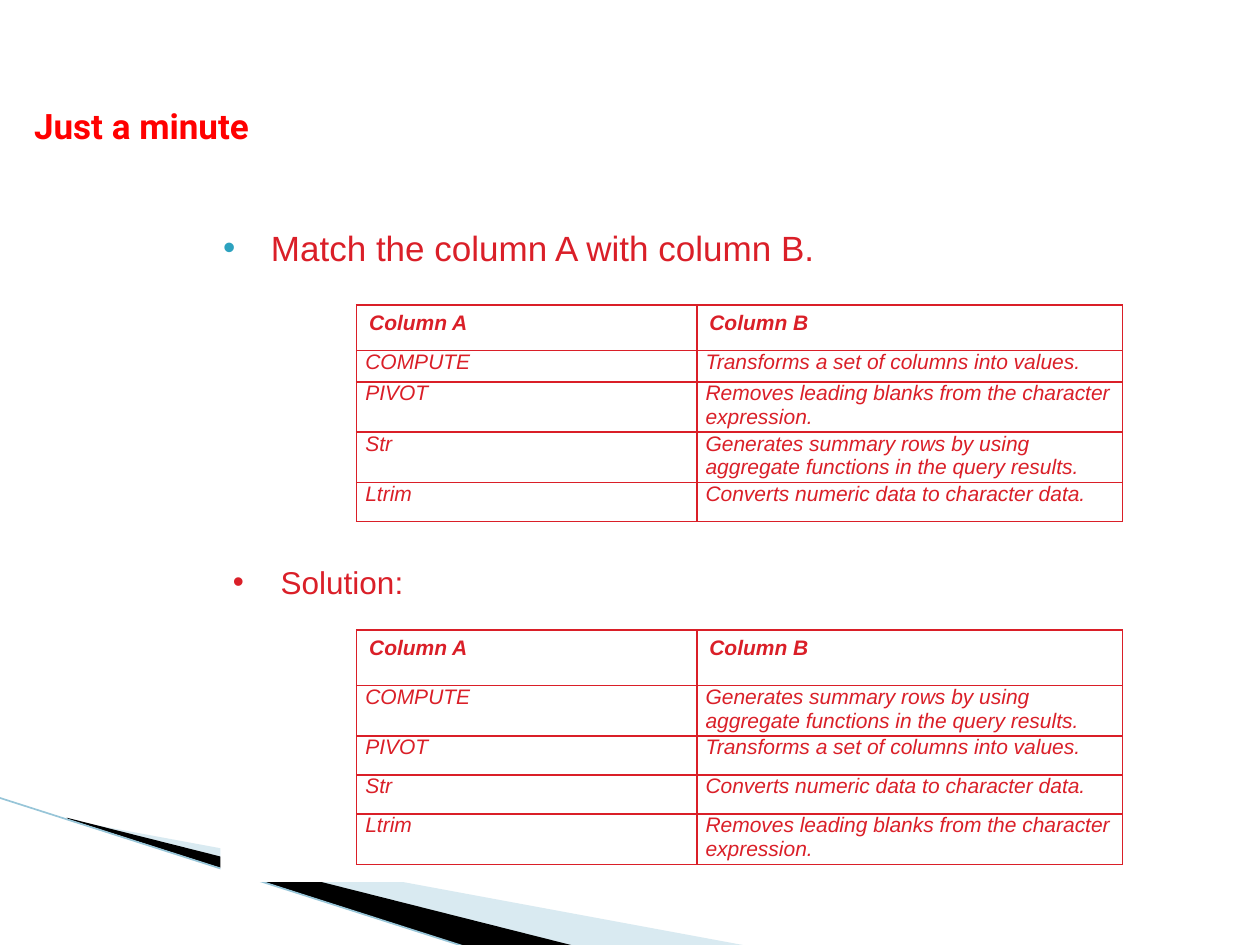
from lxml import etree
from pptx import Presentation
from pptx.dml.color import RGBColor
from pptx.enum.shapes import MSO_CONNECTOR, MSO_SHAPE
from pptx.enum.text import MSO_ANCHOR, MSO_AUTO_SIZE, PP_ALIGN
from pptx.oxml.ns import qn
from pptx.util import Inches, Pt

STRAIGHT = MSO_CONNECTOR.STRAIGHT
RECTANGLE = MSO_SHAPE.RECTANGLE
TOP = MSO_ANCHOR.TOP
NO_AUTOFIT = MSO_AUTO_SIZE.NONE
LEFT = PP_ALIGN.LEFT

COLORS = {
    "red": "DA1F28",
    "title": "FF0000",
    "bullet": "2DA2BF",
    "pale": "A0CBDC",
    "edge": "97C5D8",
    "black": "000000",
    "white": "FFFFFF",
}
COLUMN_WIDTHS = (2.7, 3.38)
HEADER = ("Column A", "Column B")
TERMS = ("COMPUTE", "PIVOT", "Str", "Ltrim")
SUMMARY = "Generates summary rows by using aggregate functions in the query results."
TRANSFORM = "Transforms a set of columns into values."
CONVERT = "Converts numeric data to character data."
TRIM = "Removes leading blanks from the character expression."


def rgb(name):
    return RGBColor.from_string(COLORS[name])


def add_color(parent, name):
    return etree.SubElement(parent, qn("a:srgbClr"), val=COLORS[name])


def write_text(frame, text, size, color="red", font="Arial", bold=False, italic=False):
    """Put one left-aligned, top-anchored run in the frame; return its paragraph."""
    frame.word_wrap = True
    frame.vertical_anchor = TOP
    paragraph = frame.paragraphs[0]
    paragraph.alignment = LEFT
    run = paragraph.add_run()
    run.text = text
    run.font.size = Pt(size)
    run.font.name = font
    run.font.bold = bold
    run.font.italic = italic
    run.font.color.rgb = rgb(color)
    return paragraph


def place(shape, left, top, width, height):
    shape.left, shape.top = Inches(left), Inches(top)
    shape.width, shape.height = Inches(width), Inches(height)


def fill_bullet_panel(panel, text, size, bullet_color, space_before):
    panel.fill.solid()
    panel.fill.fore_color.rgb = rgb("white")
    panel.line.fill.background()
    panel.text_frame.auto_size = NO_AUTOFIT
    paragraph = write_text(panel.text_frame, text, size)
    paragraph.level = 1
    paragraph.space_before = Pt(space_before)
    properties = paragraph._p.get_or_add_pPr()
    properties.set("marL", str(Inches(0.38)))
    properties.set("indent", str(-Inches(0.38)))
    add_color(etree.SubElement(properties, qn("a:buClr")), bullet_color)
    etree.SubElement(properties, qn("a:buFont"), typeface="Arial")
    etree.SubElement(properties, qn("a:buChar"), char="•")


def add_wedge(slide, points, color, opacity=100):
    corners = [(Inches(x), Inches(y)) for x, y in points]
    builder = slide.shapes.build_freeform(*corners[0])
    builder.add_line_segments(corners[1:], close=True)
    wedge = builder.convert_to_shape()
    wedge.shadow.inherit = False
    wedge.fill.solid()
    wedge.fill.fore_color.rgb = rgb(color)
    wedge.line.fill.background()
    if opacity < 100:
        color_element = wedge._element.spPr.find(".//" + qn("a:srgbClr"))
        etree.SubElement(color_element, qn("a:alpha"), val=str(opacity * 1000))


def add_edge(slide, start, end):
    edge = slide.shapes.add_connector(STRAIGHT, *map(Inches, start + end))
    edge.line.color.rgb = rgb("edge")
    edge.line.width = Pt(0.95)
    etree.SubElement(edge._element.spPr, qn("a:effectLst"))


def draw_borders(cell):
    properties = cell._tc.get_or_add_tcPr()
    for position, side in enumerate(("lnL", "lnR", "lnT", "lnB")):
        border = etree.Element(qn("a:" + side), w=str(Pt(1)))
        add_color(etree.SubElement(border, qn("a:solidFill")), "red")
        properties.insert(position, border)


def add_match_table(slide, top, row_heights, meanings):
    frame = slide.shapes.add_table(
        len(row_heights), len(COLUMN_WIDTHS), Inches(2.83), Inches(top),
        Inches(sum(COLUMN_WIDTHS)), Inches(sum(row_heights)))
    table = frame.table
    table.first_row = table.horz_banding = False
    for column, width in zip(table.columns, COLUMN_WIDTHS):
        column.width = Inches(width)
    contents = [HEADER, *zip(TERMS, meanings)]
    for row, height, texts in zip(table.rows, row_heights, contents):
        row.height = Inches(height)
        is_header = texts is HEADER
        for cell, text in zip(row.cells, texts):
            cell.margin_left = cell.margin_right = Inches(0.1 if is_header else 0.07)
            cell.margin_top = cell.margin_bottom = Inches(0.05 if is_header else 0)
            cell.fill.background()
            draw_borders(cell)
            write_text(cell.text_frame, text, 12, bold=is_header, italic=True)


def main():
    presentation = Presentation()
    presentation.slide_width, presentation.slide_height = Inches(10), Inches(7.5)
    slide = presentation.slides.add_slide(presentation.slide_layouts[1])

    title, question = slide.placeholders
    place(title, 0.17, 0.78, 7.5, 0.44)
    title.text_frame.auto_size = NO_AUTOFIT
    write_text(title.text_frame, "Just a minute", 20, "title", "Roboto", bold=True)
    place(question, 1.67, 1.75, 8, 2.58)
    fill_bullet_panel(question, "Match the column A with column B.", 20, "bullet", 3.2)

    add_wedge(slide, [(0.55, 6.51), (5.95, 7.51), (4.56, 7.51), (0.55, 6.5)], "pale", 40)
    add_wedge(slide, [(0.53, 6.49), (4.57, 7.51), (3.72, 7.52), (0.54, 6.5)], "black")
    add_edge(slide, (-0.01, 6.33), (3.71, 7.52))

    solution = slide.shapes.add_shape(
        RECTANGLE, Inches(1.75), Inches(4.42), Inches(8), Inches(2.58))
    solution.shadow.inherit = False
    fill_bullet_panel(solution, "Solution:", 18, "red", 3.6)

    add_match_table(slide, 5, (0.44, 0.4, 0.31, 0.31, 0.4),
                    (SUMMARY, TRANSFORM, CONVERT, TRIM))
    add_match_table(slide, 2.42, (0.36, 0.25, 0.4, 0.4, 0.31),
                    (TRANSFORM, TRIM, SUMMARY, CONVERT))
    presentation.save("out.pptx")


if __name__ == "__main__":
    main()
